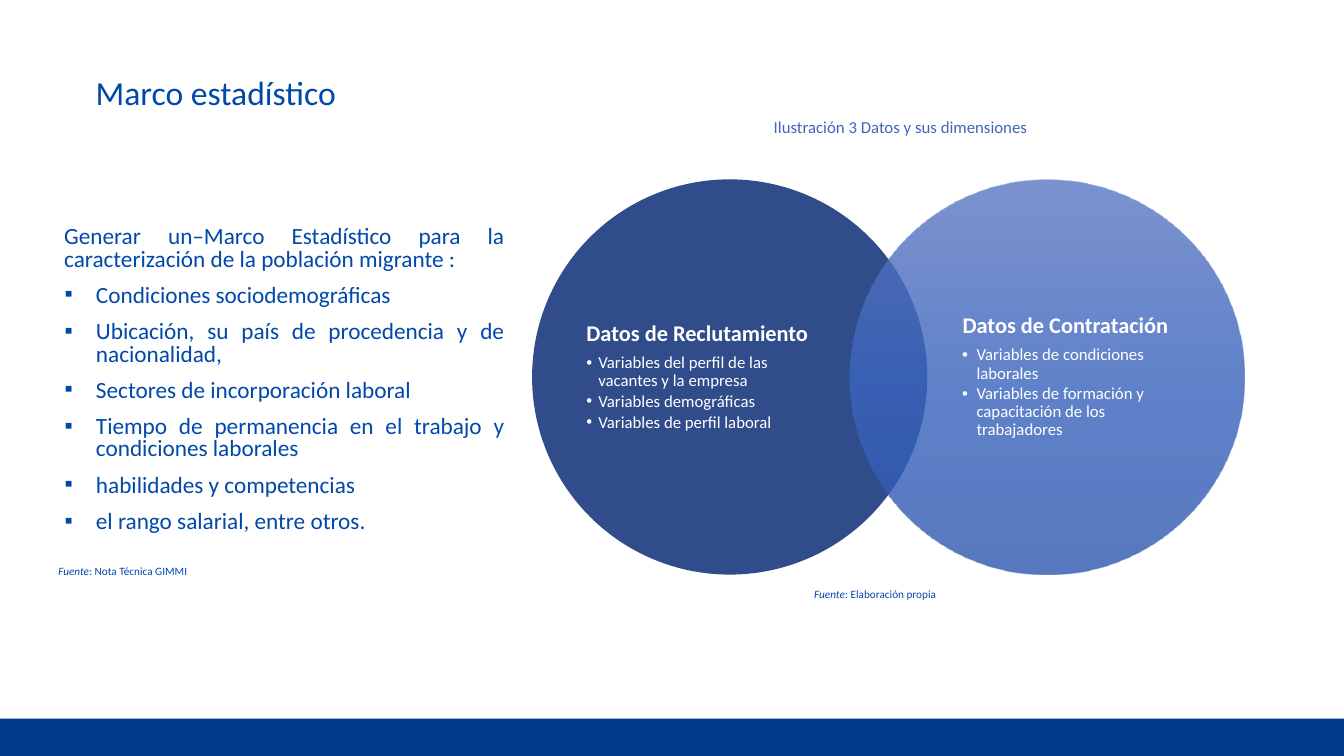
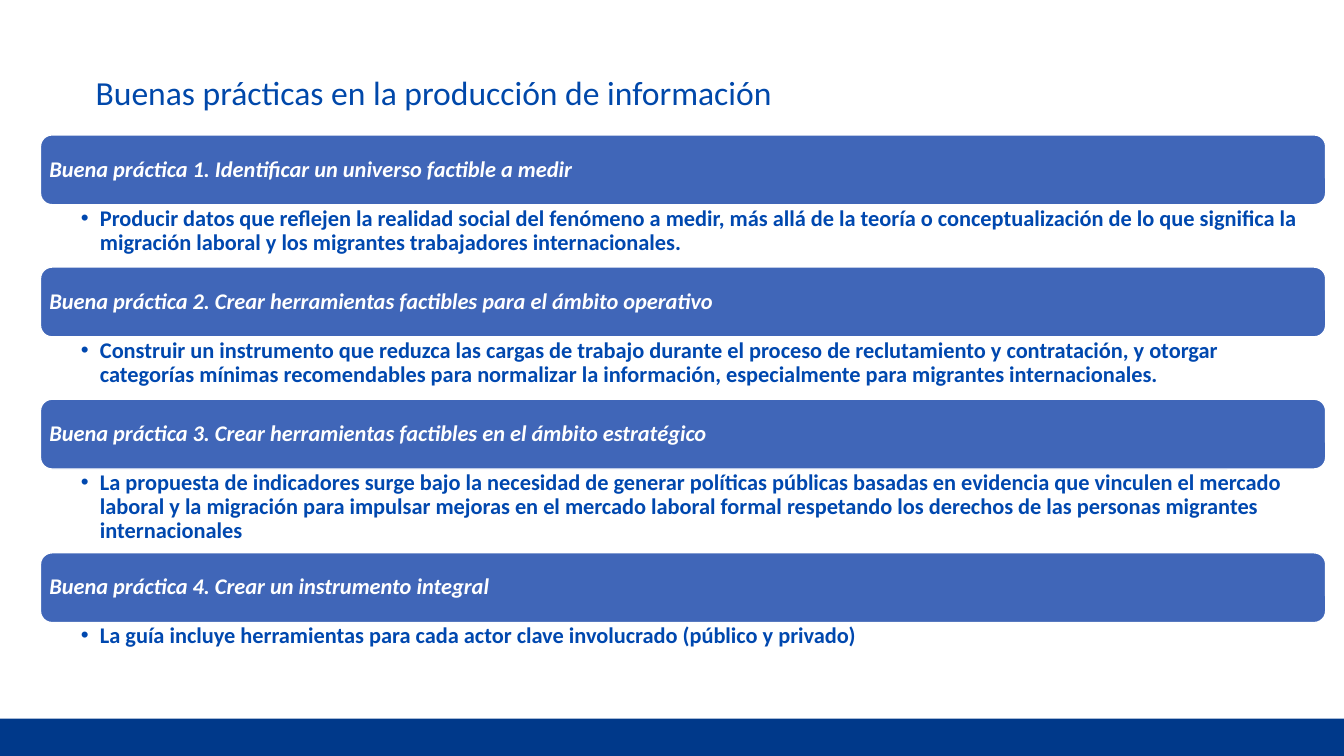
from lxml import etree
from pptx import Presentation
from pptx.dml.color import RGBColor
from pptx.enum.shapes import MSO_SHAPE
from pptx.enum.text import MSO_ANCHOR, MSO_AUTO_SIZE, PP_ALIGN
from pptx.oxml import parse_xml
from pptx.oxml.ns import nsdecls, qn
from pptx.util import Cm, Pt

RECTANGLE = MSO_SHAPE.RECTANGLE
ROUNDED = MSO_SHAPE.ROUNDED_RECTANGLE
OVAL = MSO_SHAPE.OVAL
TOP, MIDDLE = MSO_ANCHOR.TOP, MSO_ANCHOR.MIDDLE
LEFT, JUSTIFY = PP_ALIGN.LEFT, PP_ALIGN.JUSTIFY
NO_AUTOFIT = MSO_AUTO_SIZE.NONE

FONT = "Calibri"
WHITE, TEXT_BLUE, SOURCE_BLUE = "FFFFFF", "0048AA", "0048AF"
BAND_BLUE, BAR_BLUE, CIRCLE_BLUE = "00398A", "4066B8", "304C8A"
OVERLAP_STOPS = ((0, "5E79C3"), (50, "3B65BE"), (100, "2F58AF"))
OVERLAP_OPACITY = 80

SLIDE_WIDTH, SLIDE_HEIGHT = 33.87, 19.05
BAND_HEIGHT = 0.94
DEFAULT_INSETS = (0.25, 0.13, 0.25, 0.13)
NO_INSETS = (0, 0, 0, 0)

CIRCLE_TOP, CIRCLE_SIZE = 4.52, 9.96
BAR_LEFT, BAR_WIDTH, BAR_HEIGHT = 1.02, 32.39, 1.76
FIRST_BAR_TOP = 3.4

FRAMEWORK_INTRO = (
    "Generar un–Marco Estadístico para la caracterización de la población migrante :"
)
FRAMEWORK_ITEMS = (
    "Condiciones sociodemográficas",
    "Ubicación, su país de procedencia y de nacionalidad,",
    "Sectores de incorporación laboral",
    "Tiempo de permanencia en el trabajo y condiciones laborales",
    "habilidades y competencias",
    "el rango salarial, entre otros.",
)
RECRUITMENT_VARIABLES = (
    "Variables del perfil de las vacantes y la empresa",
    "Variables demográficas",
    "Variables de perfil laboral",
)
HIRING_VARIABLES = (
    "Variables de condiciones laborales",
    "Variables de formación y capacitación de los trabajadores",
)
PRACTICES = (
    ("Buena práctica 1. Identificar un universo factible a medir",
     "Producir datos que reflejen la realidad social del fenómeno a medir, más allá de la "
     "teoría o conceptualización de lo que significa la migración laboral y los migrantes "
     "trabajadores internacionales.", 1.57),
    ("Buena práctica 2. Crear herramientas factibles para el ámbito operativo",
     "Construir un instrumento que reduzca las cargas de trabajo durante el proceso de "
     "reclutamiento y contratación, y otorgar categorías mínimas recomendables para "
     "normalizar la información, especialmente para migrantes internacionales.", 1.57),
    ("Buena práctica 3. Crear herramientas factibles en el ámbito estratégico",
     "La propuesta de indicadores surge bajo la necesidad de generar políticas públicas "
     "basadas en evidencia que vinculen el mercado laboral y la migración para impulsar "
     "mejoras en el mercado laboral formal respetando los derechos de las personas "
     "migrantes internacionales", 2.11),
    ("Buena práctica 4. Crear un instrumento integral",
     "La guía incluye herramientas para cada actor clave involucrado (público y privado)",
     1.57),
)


def color(hex_code):
    """Return the colour for a hex string."""
    return RGBColor.from_string(hex_code)


def set_frame(frame, insets=DEFAULT_INSETS, anchor=TOP):
    """Set wrapping, insets and anchor of a text frame."""
    frame.word_wrap = True
    frame.auto_size = NO_AUTOFIT
    frame.vertical_anchor = anchor
    (frame.margin_left, frame.margin_top,
     frame.margin_right, frame.margin_bottom) = map(Cm, insets)


def add_paragraph(frame, text, size, hex_code, align=LEFT, spacing=1.0, before=0, after=0):
    """Add a paragraph with one run to a frame and return it."""
    first = frame.paragraphs[0]
    paragraph = frame.add_paragraph() if first.runs else first
    paragraph.alignment = align
    paragraph.line_spacing = spacing
    paragraph.space_before, paragraph.space_after = Pt(before), Pt(after)
    add_run(paragraph, text, size, hex_code)
    return paragraph


def add_run(paragraph, text, size, hex_code):
    """Add a formatted run to a paragraph."""
    run = paragraph.add_run()
    run.text = text
    run.font.name = FONT
    run.font.size = Pt(size)
    run.font.color.rgb = color(hex_code)


def indent(paragraph, margin, hanging=0, bullet=None):
    """Set the left margin, hanging indent and optional bullet of a paragraph."""
    properties = paragraph._p.get_or_add_pPr()
    properties.set("marL", str(Cm(margin)))
    properties.set("indent", str(-Cm(hanging)))
    if bullet:
        etree.SubElement(properties, qn("a:buFont")).set("typeface", "Arial")
        etree.SubElement(properties, qn("a:buChar")).set("char", bullet)


def add_text_frame(slide, left, top, width, height, insets=DEFAULT_INSETS, anchor=TOP):
    """Add a text box and return its frame."""
    box = slide.shapes.add_textbox(Cm(left), Cm(top), Cm(width), Cm(height))
    set_frame(box.text_frame, insets, anchor)
    return box.text_frame


def add_block(slide, preset, left, top, width, height, fill, line=None):
    """Add a solid preset shape without shadow."""
    block = slide.shapes.add_shape(preset, Cm(left), Cm(top), Cm(width), Cm(height))
    block.shadow.inherit = False
    block.fill.solid()
    block.fill.fore_color.rgb = color(fill)
    if line:
        block.line.color.rgb = color(line)
        block.line.width = Pt(1)
    else:
        block.line.fill.background()
    return block


def fill_gradient(block, stops, opacity):
    """Replace a solid fill by a translucent gradient from top to bottom."""
    stop_xml = "".join(
        f'<a:gs pos="{position * 1000}"><a:srgbClr val="{hex_code}">'
        f'<a:alpha val="{opacity * 1000}"/></a:srgbClr></a:gs>'
        for position, hex_code in stops
    )
    gradient = parse_xml(
        f'<a:gradFill {nsdecls("a")} rotWithShape="1"><a:gsLst>{stop_xml}</a:gsLst>'
        '<a:lin ang="5400000" scaled="0"/></a:gradFill>'
    )
    properties = block._element.spPr
    properties.replace(properties.find(qn("a:solidFill")), gradient)


def add_titled_slide(deck, heading):
    """Add a slide with its title and the bottom band."""
    slide = deck.slides.add_slide(deck.slide_layouts[5])
    title = slide.shapes.title
    title.left, title.top, title.width, title.height = map(Cm, (2.16, 1.8, 29.21, 0.99))
    set_frame(title.text_frame)
    add_paragraph(title.text_frame, heading, 24, TEXT_BLUE, spacing=0.9, before=10)
    add_block(slide, RECTANGLE, 0, SLIDE_HEIGHT - BAND_HEIGHT, SLIDE_WIDTH, BAND_HEIGHT,
              BAND_BLUE)
    return slide


def add_source(slide, left, top, width, source):
    """Add a source note with its label in italics."""
    frame = add_text_frame(slide, left, top, width, 0.61)
    note = add_paragraph(frame, "Fuente", 8, SOURCE_BLUE)
    note.runs[0].font.italic = True
    add_run(note, f": {source}", 8, SOURCE_BLUE)


def add_framework_text(slide):
    """Add the introduction and list of the statistical framework."""
    frame = add_text_frame(slide, 1.22, 5.59, 11.73, 8.56)
    style = dict(size=16.6, hex_code=TEXT_BLUE, align=JUSTIFY, spacing=0.8, before=10)
    indent(add_paragraph(frame, FRAMEWORK_INTRO, **style), 0.15)
    for item in FRAMEWORK_ITEMS:
        indent(add_paragraph(frame, item, **style), 0.95, 0.79, "▪")


def add_circle_text(slide, left, heading, variables, heading_margin, margin, hanging):
    """Add the heading and bulleted variables of a circle."""
    frame = add_text_frame(slide, left, 5.69, 5.74, 7.62, NO_INSETS, MIDDLE)
    title = add_paragraph(frame, heading, 16, WHITE, spacing=0.9, after=5.6)
    title.runs[0].font.bold = True
    indent(title, heading_margin)
    for variable in variables:
        item = add_paragraph(frame, variable, 12, WHITE, spacing=0.9, after=1.8)
        indent(item, margin, hanging, "•")


def add_practice(slide, top, heading, description, height):
    """Add a practice bar with its description below."""
    bar = add_block(slide, ROUNDED, BAR_LEFT, top, BAR_WIDTH, BAR_HEIGHT, BAR_BLUE, WHITE)
    set_frame(bar.text_frame, (0.14, 0.18, 0.14, 0.18), MIDDLE)
    title = add_paragraph(bar.text_frame, heading, 16, WHITE, spacing=0.9)
    title.runs[0].font.bold = title.runs[0].font.italic = True
    frame = add_text_frame(slide, BAR_LEFT, top + BAR_HEIGHT, BAR_WIDTH, height,
                           (1.02, 0.05, 0.3, 0.05))
    detail = add_paragraph(frame, description, 16, SOURCE_BLUE, spacing=0.9)
    detail.runs[0].font.bold = True
    indent(detail, 0.48, 0.48, "•")


def build_framework(deck):
    """Build the statistical framework slide."""
    slide = add_titled_slide(deck, "Marco estadístico")
    add_framework_text(slide)
    caption = add_text_frame(slide, 19.25, 2.82, 7.19, 0.8)
    add_paragraph(caption, "Ilustración 3 Datos y sus dimensiones", 12, BAR_BLUE)
    add_block(slide, OVAL, 13.41, CIRCLE_TOP, CIRCLE_SIZE, CIRCLE_SIZE, CIRCLE_BLUE)
    add_circle_text(slide, 14.78, "Datos de Reclutamiento", RECRUITMENT_VARIABLES,
                    0, 0.3, 0.3)
    hiring_circle = add_block(slide, OVAL, 21.41, CIRCLE_TOP, CIRCLE_SIZE, CIRCLE_SIZE,
                              BAR_BLUE)
    fill_gradient(hiring_circle, OVERLAP_STOPS, OVERLAP_OPACITY)
    add_circle_text(slide, 24.23, "Datos de Contratación", HIRING_VARIABLES,
                    0.03, 0.38, 0.36)
    add_source(slide, 20.27, 14.68, 12.34, "Elaboración propia")
    add_source(slide, 1.22, 14.1, 7.62, "Nota Técnica GIMMI")


def build_practices(deck):
    """Build the good practices slide."""
    slide = add_titled_slide(deck, "Buenas prácticas en la producción de información")
    top = FIRST_BAR_TOP
    for heading, description, height in PRACTICES:
        add_practice(slide, top, heading, description, height)
        top += BAR_HEIGHT + height


def main():
    """Build and save the presentation."""
    deck = Presentation()
    deck.slide_width, deck.slide_height = Cm(SLIDE_WIDTH), Cm(SLIDE_HEIGHT)
    build_framework(deck)
    build_practices(deck)
    deck.save("out.pptx")


if __name__ == "__main__":
    main()
